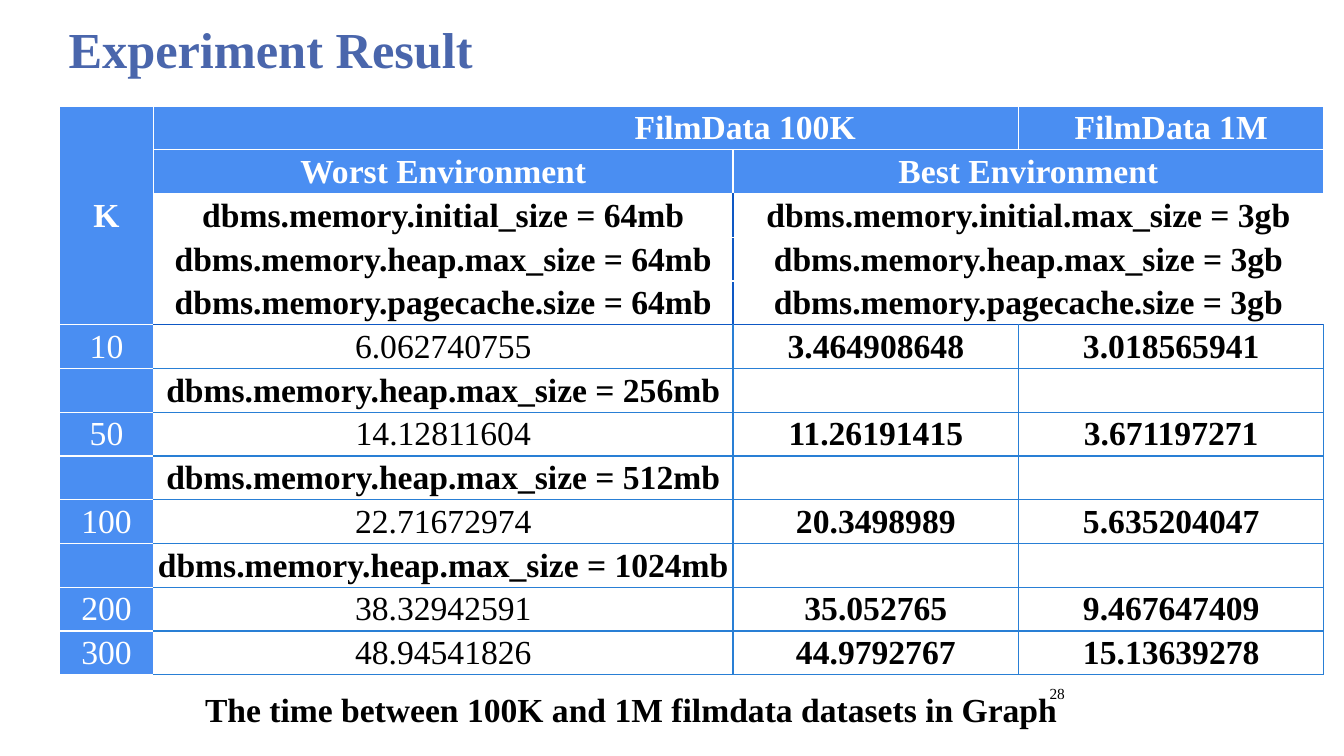
from lxml.etree import SubElement
from pptx import Presentation
from pptx.dml.color import RGBColor
from pptx.enum.text import MSO_ANCHOR, MSO_AUTO_SIZE, PP_ALIGN
from pptx.oxml.ns import qn
from pptx.util import Pt

COLORS = {
    "title": "4A66AC",
    "header": "4A8EF2",
    "grid": "297FD5",
    "divider": "0E58C4",
    "white": "FFFFFF",
    "black": "000000",
}


def write_text(frame, text, size, color, bold, alignment, spacing=None):
    paragraph = frame.paragraphs[0]
    paragraph.alignment = alignment
    paragraph.line_spacing = spacing
    run = paragraph.add_run()
    run.text = text
    formats = {"name": "Times New Roman", "size": Pt(size), "bold": bold}
    for attribute, value in formats.items():
        setattr(run.font, attribute, value)
    run.font.color.rgb = RGBColor.from_string(COLORS[color])


def draw_borders(cell, sides):
    properties = cell._tc.get_or_add_tcPr()
    for side in "LRTB":
        line = SubElement(properties, qn(f"a:ln{side}"), w=str(Pt(1)))
        fill = SubElement(line, qn("a:solidFill"))
        SubElement(fill, qn("a:srgbClr"), val=COLORS[sides[side]])


presentation = Presentation()
presentation.slide_width = Pt(960)
presentation.slide_height = Pt(540)
slide = presentation.slides.add_slide(presentation.slide_layouts[5])

title = slide.shapes.title
title_format = {"left": Pt(41.76), "top": Pt(11.5), "width": Pt(344), "height": Pt(48.24)}
for attribute, value in title_format.items():
    setattr(title, attribute, value)
title.text_frame.auto_size = MSO_AUTO_SIZE.NONE
title.text_frame.vertical_anchor = MSO_ANCHOR.BOTTOM
write_text(title.text_frame, "Experiment Result", 36, "title", True, PP_ALIGN.LEFT, 0.8)

text_boxes = [
    ("28", (671.76, 484.56, 96, 21.6), 11, False, PP_ALIGN.RIGHT, MSO_ANCHOR.MIDDLE, None),
    ("The time between 100K and 1M filmdata datasets in Graph",
     (-0.72, 491.76, 903, 33.84), 24, True, PP_ALIGN.CENTER, MSO_ANCHOR.TOP, 0.9),
]
for text, position, size, bold, alignment, anchor, spacing in text_boxes:
    text_box = slide.shapes.add_textbox(*map(Pt, position))
    text_box.text_frame.word_wrap = True
    text_box.text_frame.vertical_anchor = anchor
    write_text(text_box.text_frame, text, size, "black", bold, alignment, spacing)

rows = [
    ("K", "FilmData 100K", "", "FilmData 1M"),
    ("", "Worst Environment", "Best Environment", ""),
    ("", "dbms.memory.initial_size = 64mb", "dbms.memory.initial.max_size = 3gb", ""),
    ("", "dbms.memory.heap.max_size = 64mb", "dbms.memory.heap.max_size = 3gb", ""),
    ("", "dbms.memory.pagecache.size = 64mb", "dbms.memory.pagecache.size = 3gb", ""),
    ("10", "6.062740755", "3.464908648", "3.018565941"),
    ("", "dbms.memory.heap.max_size = 256mb", "", ""),
    ("50", "14.12811604", "11.26191415", "3.671197271"),
    ("", "dbms.memory.heap.max_size = 512mb", "", ""),
    ("100", "22.71672974", "20.3498989", "5.635204047"),
    ("", "dbms.memory.heap.max_size = 1024mb", "", ""),
    ("200", "38.32942591", "35.052765", "9.467647409"),
    ("300", "48.94541826", "44.9792767", "15.13639278"),
]
column_widths = [67, 414, 204, 218]
row_height = 31.24
table = slide.shapes.add_table(
    len(rows), len(column_widths), Pt(42.6), Pt(75.8),
    Pt(sum(column_widths)), Pt(row_height * len(rows)),
).table
table.first_row = False
table.horz_banding = False
for column, width in zip(table.columns, column_widths):
    column.width = Pt(width)
for row in table.rows:
    row.height = Pt(row_height)

table.cell(0, 0).merge(table.cell(4, 0))
table.cell(0, 1).merge(table.cell(0, 2))
for row_index in range(1, 5):
    table.cell(row_index, 2).merge(table.cell(row_index, 3))

cell_format = {
    "vertical_anchor": MSO_ANCHOR.MIDDLE,
    "margin_left": Pt(0.72),
    "margin_right": Pt(0.72),
    "margin_top": Pt(0.72),
    "margin_bottom": Pt(0),
}
for row_index, texts in enumerate(rows):
    for column_index, text in enumerate(texts):
        cell = table.cell(row_index, column_index)
        is_header = column_index == 0 or row_index < 2
        is_setting = not is_header and row_index < 5
        sides = dict.fromkeys("LRTB", "white" if is_header or is_setting else "grid")
        if is_setting:
            sides["R" if column_index == 1 else "L"] = "divider"
        if column_index == 1:
            sides["L"] = "white"
        if not is_header and row_index in (4, 5):
            sides["B" if row_index == 4 else "T"] = "divider"
        draw_borders(cell, sides)
        if is_header:
            cell.fill.solid()
            cell.fill.fore_color.rgb = RGBColor.from_string(COLORS["header"])
        else:
            cell.fill.background()
        for attribute, value in cell_format.items():
            setattr(cell, attribute, value)
        if text:
            is_plain = row_index > 4 and column_index < 2 and text[0].isdigit()
            color = "white" if is_header else "black"
            write_text(cell.text_frame, text, 24, color, not is_plain, PP_ALIGN.CENTER)
table.cell(0, 1).margin_left = Pt(228)

presentation.save("out.pptx")
